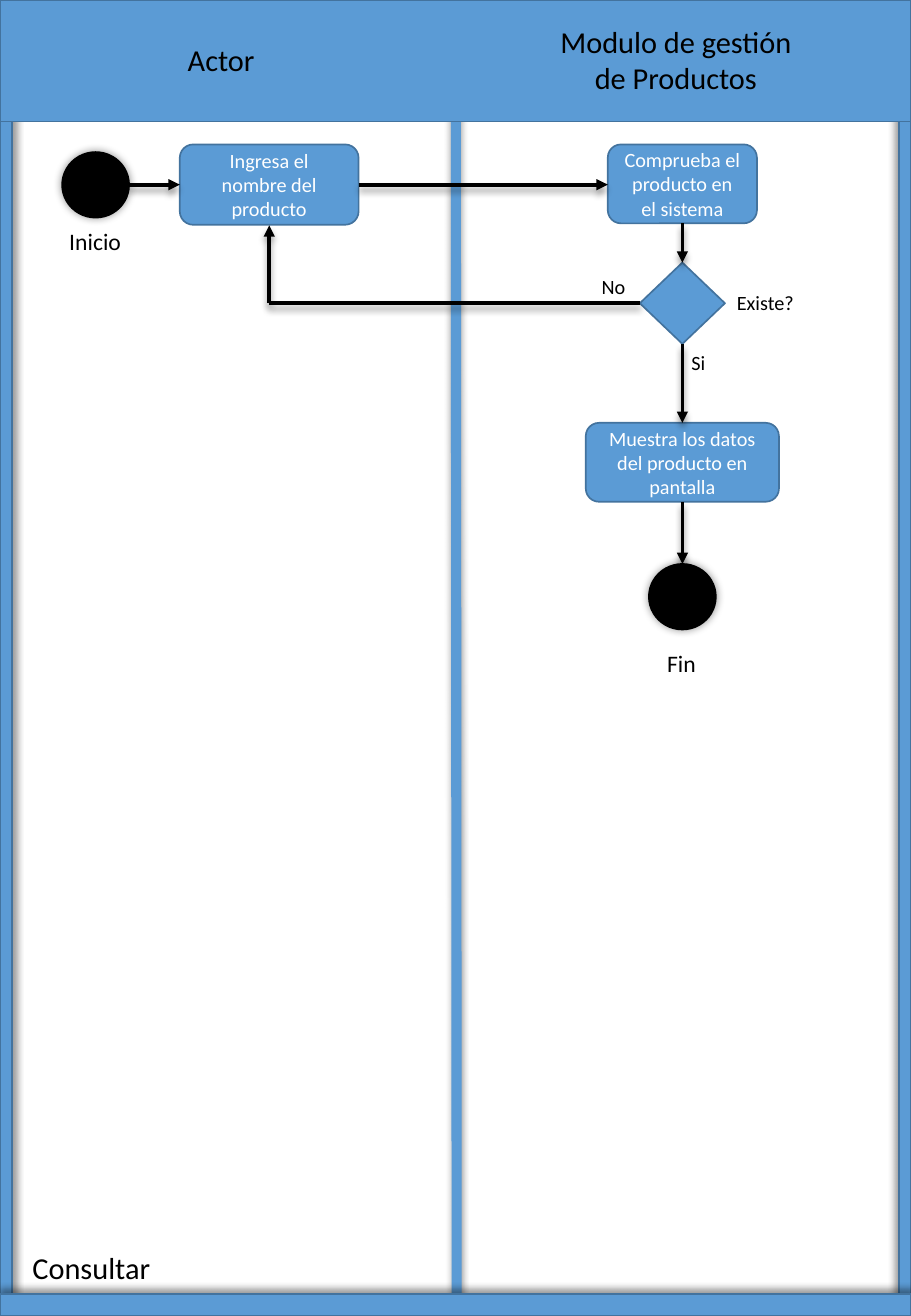
"""Build the activity diagram for looking up a product, with two swimlanes."""
from pptx import Presentation
from pptx.dml.color import RGBColor
from pptx.enum.shapes import MSO_CONNECTOR, MSO_SHAPE as Kind
from pptx.enum.text import MSO_ANCHOR, PP_ALIGN
from pptx.oxml import parse_xml
from pptx.oxml.ns import nsdecls
from pptx.util import Cm, Pt

HUES = {"blue": "5B9BD5", "edge": "43739E", "ink": "000000", "white": "FFFFFF"}
INK = {name: RGBColor.from_string(code) for name, code in HUES.items()}
WIDE, TALL = 19.05, 27.51
ROW, MID, BACK, TURN = 3.86, 14.27, 6.33, 5.63

deck = Presentation()
deck.slide_width, deck.slide_height = Cm(WIDE), Cm(TALL)
slide = deck.slides.add_slide(deck.slide_layouts[6])
shapes = slide.shapes


def write(frame, text, size=12, hue="ink", align=PP_ALIGN.LEFT, wrap=False):
    frame.word_wrap = wrap
    frame.text = text
    for para in frame.paragraphs:
        para.alignment = align
        para.font.size = Pt(size)
        para.font.name = "Calibri"
        para.font.color.rgb = INK[hue]


def shade(shape, turn, gap=3, blur=4):
    shape._element.spPr.append(parse_xml(
        f'<a:effectLst {nsdecls("a")}><a:outerShdw blurRad="{Pt(blur)}" '
        f'dist="{Pt(gap)}" dir="{turn * 60000}" algn="ctr" rotWithShape="0">'
        f'<a:srgbClr val="{HUES["ink"]}"><a:alpha val="40000"/></a:srgbClr>'
        '</a:outerShdw></a:effectLst>'))


lane = shapes.add_connector(
    MSO_CONNECTOR.STRAIGHT, Cm(9.53), 0, Cm(9.55), Cm(TALL))
lane.line.color.rgb = INK["blue"]
lane.line.width = Pt(6)
shade(lane, 270)

bars = [
    (0, 0, 0.25, TALL, 45),
    (WIDE - 0.25, 0, 0.25, TALL, 225),
    (0, TALL - 0.46, WIDE, 0.46, 270),
    (0, 0, WIDE, 2.54, None),
]
for left, top, wide, tall, turn in bars:
    bar = shapes.add_shape(Kind.RECTANGLE, Cm(left), Cm(top), Cm(wide), Cm(tall))
    bar.fill.solid()
    bar.fill.fore_color.rgb = INK["blue"]
    bar.line.color.rgb = INK["edge"]
    bar.line.width = Pt(1)
    if turn is None:
        bar.shadow.inherit = False
    else:
        shade(bar, turn)

nodes = [
    (Kind.OVAL, 2, 3.18, 1.4, 1.37, ""),
    (Kind.ROUNDED_RECTANGLE, TURN, 3.02, 3.74, 1.68,
     "Ingresa el nombre del producto"),
    (Kind.ROUNDED_RECTANGLE, MID, 3.02, 3.12, 1.65,
     "Comprueba el producto en el sistema"),
    (Kind.FLOWCHART_DECISION, MID, 5.49, 1.78, 1.7, ""),
    (Kind.ROUNDED_RECTANGLE, MID, 8.84, 4.04, 1.65,
     "Muestra los datos del producto en pantalla"),
    (Kind.OVAL, MID, 11.79, 1.4, 1.37, ""),
]
for kind, mid, top, wide, tall, text in nodes:
    node = shapes.add_shape(
        kind, Cm(mid - wide / 2), Cm(top), Cm(wide), Cm(tall))
    dot = kind == Kind.OVAL
    node.fill.solid()
    node.fill.fore_color.rgb = INK["ink" if dot else "blue"]
    node.line.color.rgb = INK["ink" if dot else "edge"]
    node.line.width = Pt(1)
    if dot:
        shade(node, 0, gap=0, blur=5)
    else:
        node.shadow.inherit = False
    if text:
        node.text_frame.vertical_anchor = MSO_ANCHOR.MIDDLE
        write(node.text_frame, text, hue="white", align=PP_ALIGN.CENTER, wrap=True)

links = [
    (2.7, ROW, 3.76, ROW, True),
    (7.5, ROW, 12.71, ROW, True),
    (MID, 4.67, MID, 5.49, True),
    (MID, 7.19, MID, 8.84, True),
    (MID, 10.49, MID, 11.79, True),
    (13.38, BACK, TURN, BACK, False),
    (TURN, BACK, TURN, 4.71, True),
]
for left, top, right, foot, tip in links:
    link = shapes.add_connector(
        MSO_CONNECTOR.STRAIGHT, Cm(left), Cm(top), Cm(right), Cm(foot))
    link.line.color.rgb = INK["ink"]
    link.line.width = Pt(2.25)
    if tip:
        link.line._get_or_add_ln().append(
            parse_xml(f'<a:tailEnd {nsdecls("a")} type="triangle"/>'))
    shade(link, 90)

labels = [
    ("Actor", 3.66, 0.74, 1.93, 1.02, 18),
    ("Modulo de gestión\nde Productos", 11.43, 0.36, 5.41, 1.8, 18),
    ("Inicio", 1.19, 4.62, 1.6, 0.86, 14),
    ("Existe?", 15.14, 5.94, 1.73, 0.76, 12),
    ("No", 12.32, 5.61, 1.02, 0.76, 12),
    ("Si", 14.2, 7.19, 0.81, 0.76, 12),
    ("Fin", 13.69, 13.44, 1.12, 0.86, 14),
    ("Consultar", 0.41, 25.98, 3, 1.02, 18),
]
for text, left, top, wide, tall, size in labels:
    label = shapes.add_textbox(Cm(left), Cm(top), Cm(wide), Cm(tall))
    write(label.text_frame, text, size=size, align=PP_ALIGN.CENTER)

deck.save("out.pptx")
